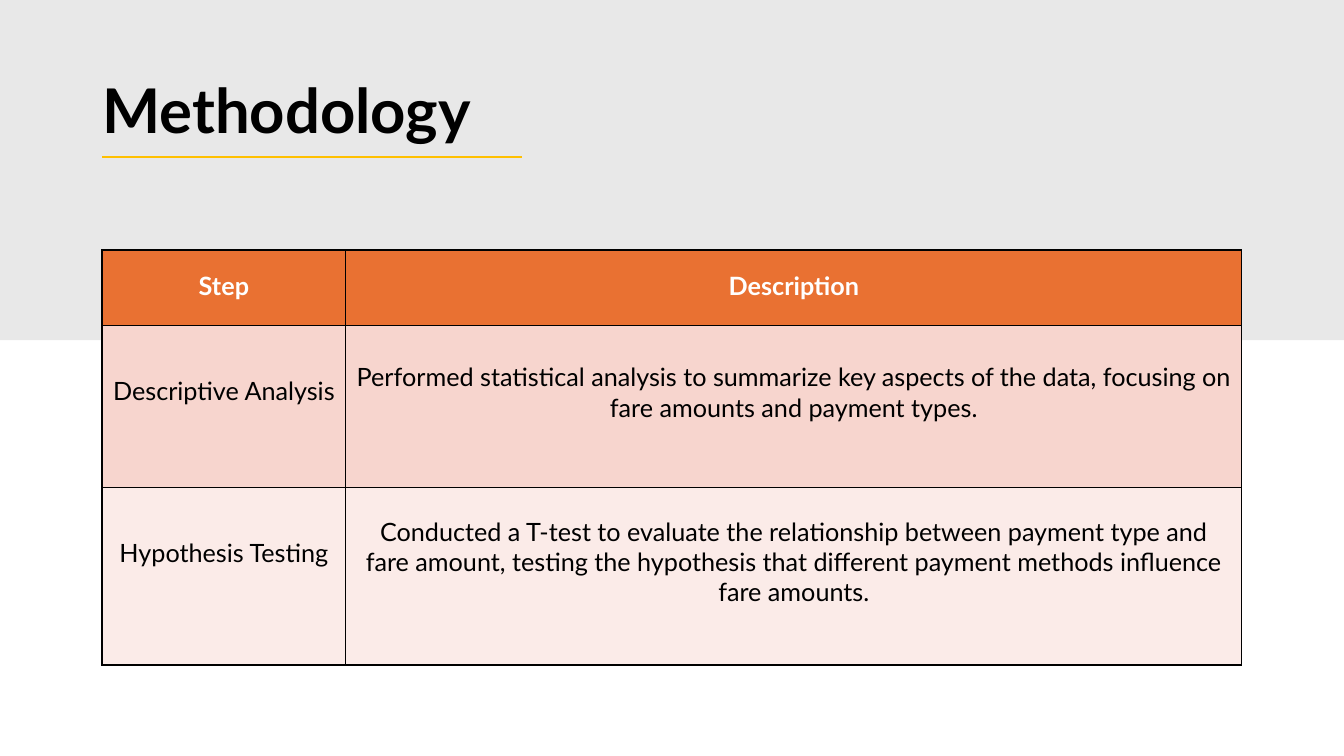
"""Build the Methodology slide with its table of analysis steps."""
from dataclasses import dataclass

from lxml.etree import SubElement
from pptx import Presentation
from pptx.dml.color import RGBColor
from pptx.enum.shapes import MSO_CONNECTOR, MSO_SHAPE
from pptx.enum.text import MSO_ANCHOR, PP_ALIGN
from pptx.oxml.ns import qn
from pptx.util import Pt


@dataclass(frozen=True)
class Theme:
    font: str = "Lato"
    title_size: int = 44
    table_size: int = 18
    band: str = "E8E8E8"
    accent: str = "FFC000"
    text: str = "000000"
    header_text: str = "FFFFFF"
    border: str = "000000"
    row_fills: tuple = ("E97132", "F7D5CE", "FBEBE8")


theme = Theme()


def format_runs(paragraph, size, color, bold):
    for run in paragraph.runs:
        run.font.name = theme.font
        run.font.size = Pt(size)
        run.font.bold = bold
        run.font.color.rgb = RGBColor.from_string(color)


def add_borders(cell):
    properties = cell._tc.get_or_add_tcPr()
    for position, side in enumerate(("lnL", "lnR", "lnT", "lnB")):
        line = properties.makeelement(qn(f"a:{side}"), {"w": str(Pt(1))})
        fill = SubElement(line, qn("a:solidFill"))
        SubElement(fill, qn("a:srgbClr"), val=theme.border)
        properties.insert(position, line)


presentation = Presentation()
presentation.slide_width = Pt(960)
presentation.slide_height = Pt(540)
slide = presentation.slides.add_slide(presentation.slide_layouts[6])

band = slide.shapes.add_shape(MSO_SHAPE.RECTANGLE, 0, 0, Pt(960), Pt(243))
band.shadow.inherit = False
band.fill.solid()
band.fill.fore_color.rgb = RGBColor.from_string(theme.band)
band.line.fill.background()

title = slide.shapes.add_textbox(Pt(66), Pt(28.75), Pt(828), Pt(104.4))
title.text_frame.word_wrap = True
title.text_frame.vertical_anchor = MSO_ANCHOR.MIDDLE
title.text_frame.text = "Methodology"
title_paragraph = title.text_frame.paragraphs[0]
title_paragraph.line_spacing = 0.9
format_runs(title_paragraph, theme.title_size, theme.text, True)

underline = slide.shapes.add_connector(
    MSO_CONNECTOR.STRAIGHT, Pt(73.1), Pt(112.3), Pt(372.8), Pt(112.3))
underline.line.color.rgb = RGBColor.from_string(theme.accent)
underline.line.width = Pt(1.5)
SubElement(underline._element.spPr, qn("a:effectLst"))

rows = [
    ("Step", "Description"),
    ("Descriptive Analysis",
     "Performed statistical analysis to summarize key aspects of the data, "
     "focusing on fare amounts and payment types."),
    ("Hypothesis Testing",
     "Conducted a T-test to evaluate the relationship between payment type "
     "and fare amount, testing the hypothesis that different payment methods "
     "influence fare amounts."),
]
column_widths = (174.3, 640)
row_heights = (53.8, 115.9, 126.7)

table = slide.shapes.add_table(
    len(rows), len(column_widths), Pt(72.8), Pt(178.6),
    Pt(sum(column_widths)), Pt(sum(row_heights))).table
for column, width in zip(table.columns, column_widths):
    column.width = Pt(width)

for row_index, texts in enumerate(rows):
    table.rows[row_index].height = Pt(row_heights[row_index])
    is_header = row_index == 0
    for column_index, text in enumerate(texts):
        cell = table.cell(row_index, column_index)
        cell.fill.solid()
        cell.fill.fore_color.rgb = RGBColor.from_string(theme.row_fills[row_index])
        add_borders(cell)
        cell.text_frame.text = text
        paragraph = cell.text_frame.paragraphs[0]
        paragraph.alignment = PP_ALIGN.CENTER
        if is_header:
            paragraph.line_spacing = 1.5
        elif column_index == 0:
            paragraph.line_spacing = 2.5
        else:
            cell.vertical_anchor = MSO_ANCHOR.MIDDLE
            cell.margin_bottom = Pt(24)
        color = theme.header_text if is_header else theme.text
        format_runs(paragraph, theme.table_size, color, is_header)

presentation.save("out.pptx")
